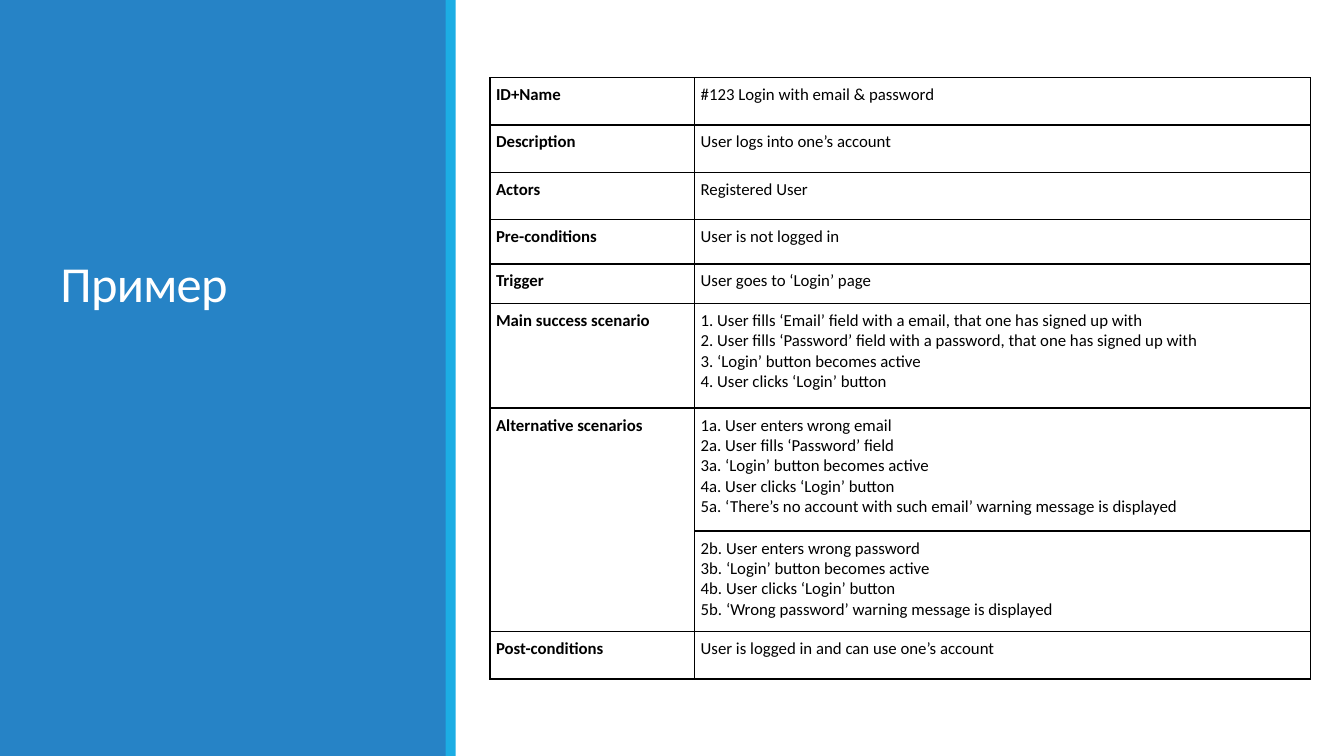
from dataclasses import dataclass

import lxml.etree
import pptx
import pptx.dml.color
import pptx.enum.shapes
import pptx.enum.text
import pptx.oxml.ns
import pptx.util

SLIDE_WIDTH = pptx.util.Inches(13.333)
SLIDE_HEIGHT = pptx.util.Inches(7.5)
FONT = "Calibri"
BLACK, WHITE = "000000", "FFFFFF"
SHORT_ROW = 6.26
COLUMN_SHARES = (15.23, 45.83)


@dataclass(frozen=True)
class Box:
    """A rectangle in percent of the slide's width and height."""
    left: float
    top: float
    width: float
    height: float


@dataclass(frozen=True)
class Band:
    box: Box
    fill: str


@dataclass(frozen=True)
class UseCaseRow:
    """A table row; an empty label continues the label above."""
    label: str
    lines: tuple[str, ...]
    height: float = SHORT_ROW


BANDS = (
    Band(Box(0, 0, 33.22, 100), "2683C6"),
    Band(Box(33.15, 0, 0.75, 100), "1CADE4"),
)
TITLE_BOX = Box(3.75, 8.67, 26.25, 33.33)
ROWS = (
    UseCaseRow("ID+Name", ("#123 Login with email & password",)),
    UseCaseRow("Description", ("User logs into one’s account",)),
    UseCaseRow("Actors", ("Registered User",)),
    UseCaseRow("Pre-conditions", ("User is not logged in",), 5.87),
    UseCaseRow("Trigger", ("User goes to ‘Login’ page",), 5.2),
    UseCaseRow("Main success scenario", (
        "1. User fills ‘Email’ field with a email, that one has signed up with",
        "2. User fills ‘Password’ field with a password, that one has signed up with",
        "3. ‘Login’ button becomes active",
        "4. User clicks ‘Login’ button",
    ), 13.87),
    UseCaseRow("Alternative scenarios", (
        "1a. User enters wrong email",
        "2a. User fills ‘Password’ field",
        "3a. ‘Login’ button becomes active",
        "4a. User clicks ‘Login’ button",
        "5a. ‘There’s no account with such email’ warning message is displayed",
    ), 16.27),
    UseCaseRow("", (
        "2b. User enters wrong password",
        "3b. ‘Login’ button becomes active",
        "4b. User clicks ‘Login’ button",
        "5b. ‘Wrong password’ warning message is displayed",
    ), 13.33),
    UseCaseRow("Post-conditions", ("User is logged in and can use one’s account",)),
)
TABLE_BOX = Box(36.46, 10.27, sum(COLUMN_SHARES), sum(row.height for row in ROWS))


def color(value: str) -> pptx.dml.color.RGBColor:
    return pptx.dml.color.RGBColor.from_string(value)


def across(percent: float) -> int:
    return round(SLIDE_WIDTH * percent / 100)


def down(percent: float) -> int:
    return round(SLIDE_HEIGHT * percent / 100)


def place(box: Box) -> tuple[int, int, int, int]:
    return across(box.left), down(box.top), across(box.width), down(box.height)


def write(text_frame, lines: tuple[str, ...], *, size: float, fill: str,
          bold: bool = False, line_spacing: float = 1.0, tracking: float = 0) -> None:
    """Write one paragraph per line; tracking is in points."""
    for index, line in enumerate(lines):
        paragraph = text_frame.add_paragraph() if index else text_frame.paragraphs[0]
        paragraph.alignment = pptx.enum.text.PP_ALIGN.LEFT
        paragraph.line_spacing = line_spacing
        run = paragraph.add_run()
        run.text = line
        run.font.name = FONT
        run.font.size = pptx.util.Pt(size)
        run.font.bold = bold
        run.font.color.rgb = color(fill)
        if tracking:
            run._r.get_or_add_rPr().set("spc", str(round(tracking * 100)))


def draw_band(slide, band: Band) -> None:
    shape = slide.shapes.add_shape(pptx.enum.shapes.MSO_SHAPE.RECTANGLE, *place(band.box))
    shape.shadow.inherit = False
    shape.fill.solid()
    shape.fill.fore_color.rgb = color(band.fill)
    shape.line.fill.background()


def draw_title(slide, text: str) -> None:
    title = slide.shapes.title
    title.left, title.top, title.width, title.height = place(TITLE_BOX)
    title.text_frame.word_wrap = True
    title.text_frame.vertical_anchor = pptx.enum.text.MSO_ANCHOR.BOTTOM
    write(title.text_frame, (text,), size=36, fill=WHITE, line_spacing=0.85, tracking=-0.5)
    # Bring the title in front of the bands
    slide.shapes._spTree.append(title._element)


def outline_cell(cell) -> None:
    qualified = pptx.oxml.ns.qn
    properties = cell._tc.get_or_add_tcPr()
    for index, side in enumerate(("lnL", "lnR", "lnT", "lnB")):
        line = lxml.etree.Element(qualified(f"a:{side}"), w=str(pptx.util.Pt(1)))
        fill = lxml.etree.SubElement(line, qualified("a:solidFill"))
        lxml.etree.SubElement(fill, qualified("a:srgbClr"), val=BLACK)
        properties.insert(index, line)


def format_cell(cell) -> None:
    cell.margin_left = cell.margin_right = pptx.util.Inches(0.06)
    cell.margin_top = cell.margin_bottom = pptx.util.Inches(0.07)
    cell.vertical_anchor = pptx.enum.text.MSO_ANCHOR.TOP
    cell.fill.background()
    outline_cell(cell)


def draw_table(slide, rows: tuple[UseCaseRow, ...]) -> None:
    table = slide.shapes.add_table(len(rows), len(COLUMN_SHARES), *place(TABLE_BOX)).table
    table.first_row = table.horz_banding = False
    for column, share in zip(table.columns, COLUMN_SHARES):
        column.width = across(share)
    for index, row in enumerate(rows):
        table.rows[index].height = down(row.height)
        label_cell, text_cell = table.cell(index, 0), table.cell(index, 1)
        format_cell(label_cell)
        format_cell(text_cell)
        write(text_cell.text_frame, row.lines, size=12, fill=BLACK)
        if row.label:
            write(label_cell.text_frame, (row.label,), size=12, fill=BLACK, bold=True)
        else:
            table.cell(index - 1, 0).merge(label_cell)


def main() -> None:
    presentation = pptx.Presentation()
    presentation.slide_width = SLIDE_WIDTH
    presentation.slide_height = SLIDE_HEIGHT
    title_only = presentation.slide_layouts[5]
    slide = presentation.slides.add_slide(title_only)
    for band in BANDS:
        draw_band(slide, band)
    draw_title(slide, "Пример")
    draw_table(slide, ROWS)
    presentation.save("out.pptx")


if __name__ == "__main__":
    main()
